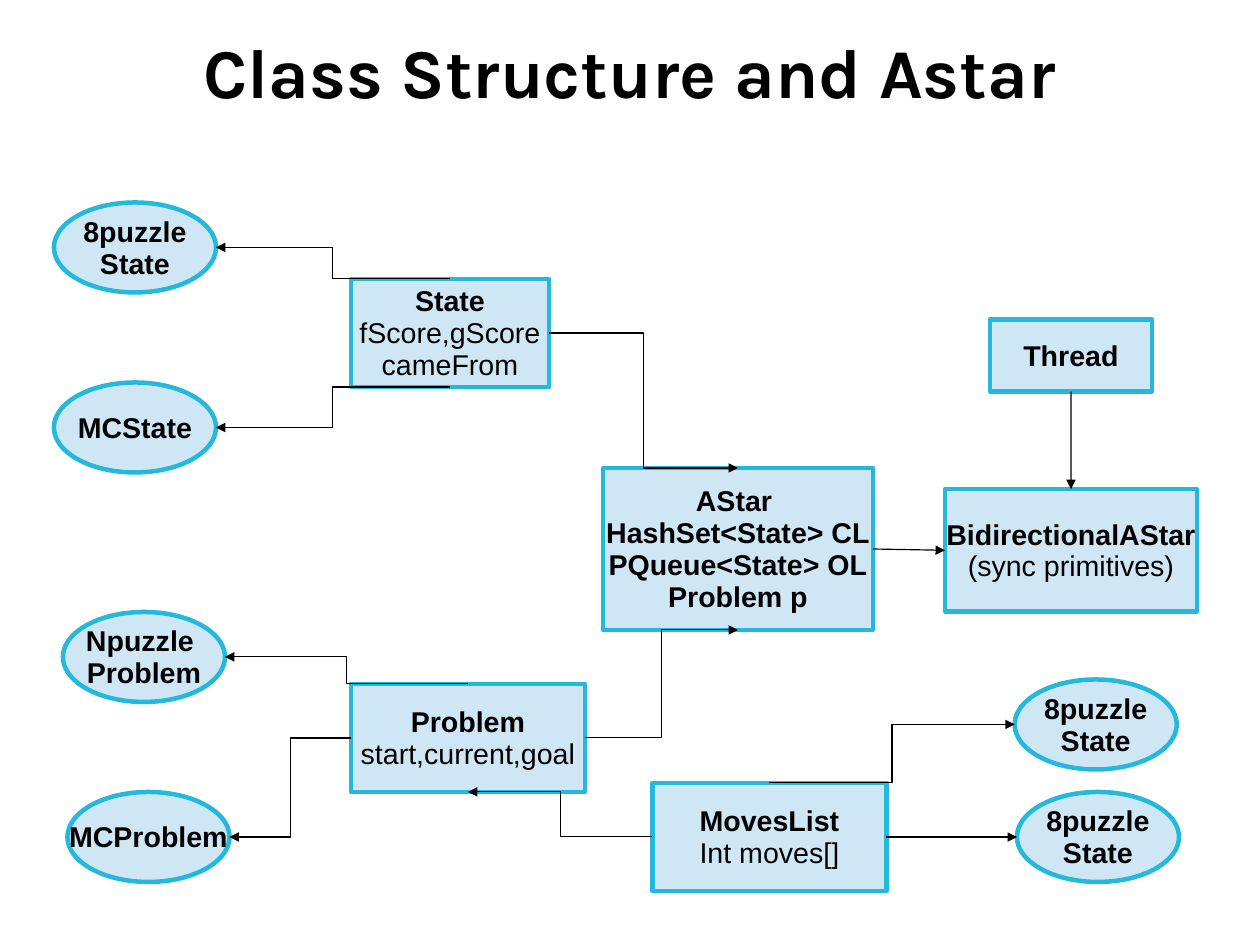
from lxml.etree import SubElement
from pptx import Presentation
from pptx.dml.color import RGBColor
from pptx.enum.shapes import MSO_CONNECTOR as Link, MSO_SHAPE as Kind
from pptx.enum.text import MSO_ANCHOR as Anchor, MSO_AUTO_SIZE as Fit, PP_ALIGN as Align
from pptx.oxml.ns import qn
from pptx.util import Cm, Pt

COLS, ROWS = 28, 21  # one grid cell is one centimetre
TITLE = "Class Structure and Astar"
TITLE_BOX = (1.4, 0.7, 25.2, 1.83)
FILL, EDGE, INK = "CFE7F5", "23B8DC", "000000"
OVAL = (3.6, 2)
WIDE = (5.2, 2.4)

# name: (column, row, (columns, rows), bold lines, plain lines)
RECTS = {
    "state": (7.8, 6.2, (4.4, 2.4), ["State"], ["fScore,gScore", "cameFrom"]),
    "problem": (7.8, 15.2, WIDE, ["Problem"], ["start,current,goal"]),
    "moves": (14.5, 17.4, WIDE, ["MovesList"], ["Int moves[]"]),
    "astar": (13.4, 10.4, (6, 3.6),
              ["AStar ", "HashSet<State> CL", "PQueue<State> OL", "Problem p"], []),
    "bidi": (21, 10.87, (5.6, 2.72), ["BidirectionalAStar"], ["(sync primitives)"]),
    "thread": (22, 7.1, (3.6, 1.6), ["Thread"], []),
}
OVALS = {
    "puzzle": (1.2, 4.5, OVAL, ["8puzzle", "State"], []),
    "mc state": (1.2, 8.5, OVAL, ["MCState"], []),
    "npuzzle": (1.4, 13.6, OVAL, ["Npuzzle ", "Problem"], []),
    "mc problem": (1.5, 17.6, OVAL, ["MCProblem"], []),
    "upper move": (22.55, 15.1, OVAL, ["8puzzle", "State"], []),
    "lower move": (22.6, 17.6, OVAL, ["8puzzle", "State"], []),
}

# (from, side, to, side)
STRAIGHT = [
    ("astar", "right", "bidi", "left"),
    ("thread", "bottom", "bidi", "top"),
]
BENT = [
    ("state", "right", "astar", "top"),
    ("problem", "right", "astar", "bottom"),
    ("moves", "left", "problem", "bottom"),
    ("state", "top", "puzzle", "right"),
    ("state", "bottom", "mc state", "right"),
    ("problem", "top", "npuzzle", "right"),
    ("problem", "left", "mc problem", "right"),
    ("moves", "top", "upper move", "left"),
    ("moves", "right", "lower move", "left"),
]
SIDES = {"left": (0, 0.5), "right": (1, 0.5), "top": (0.5, 0), "bottom": (0.5, 1)}


def color(code):
    return RGBColor.from_string(code)


def style(para, face, size, bold):
    para.alignment = Align.CENTER
    para.line_spacing = 0.93
    font = para.font
    font.name, font.size, font.bold = face, Pt(size), bold
    font.color.rgb = color(INK)


def pad(frame, left, top, right, bottom):
    frame.margin_left, frame.margin_top = Cm(left), Cm(top)
    frame.margin_right, frame.margin_bottom = Cm(right), Cm(bottom)
    frame.vertical_anchor = Anchor.MIDDLE


def add_node(shapes, kind, col, row, size, bold, plain):
    node = shapes.add_shape(kind, Cm(col), Cm(row), *map(Cm, size))
    node.shadow.inherit = False
    node.fill.solid()
    node.fill.fore_color.rgb = color(FILL)
    node.line.color.rgb = color(EDGE)
    node.line.width = Pt(2.83)
    frame = node.text_frame
    frame.word_wrap = False
    pad(frame, 0.3, 0.23, 0.3, 0.18)
    frame.text = "\n".join(bold + plain)
    for i, para in enumerate(frame.paragraphs):
        style(para, "Arial", 18, i < len(bold))
    return node


def port(node, side):
    """Middle of one side of a node."""
    x, y = SIDES[side]
    return int(node.left + x * node.width), int(node.top + y * node.height)


def add_arrow(shapes, kind, start, end):
    arrow = shapes.add_connector(kind, *start, *end)
    arrow.line.color.rgb = color(INK)
    arrow.line.width = Pt(0.75)
    SubElement(arrow.line._get_or_add_ln(), qn("a:tailEnd"), type="triangle")
    SubElement(arrow._element.spPr, qn("a:effectLst"))


def main():
    deck = Presentation()
    deck.slide_width, deck.slide_height = Cm(COLS), Cm(ROWS)
    shapes = deck.slides.add_slide(deck.slide_layouts[5]).shapes

    title = shapes.title
    title.left, title.top, title.width, title.height = map(Cm, TITLE_BOX)
    title.text = TITLE
    title.text_frame.auto_size = Fit.NONE
    pad(title.text_frame, 0, 0.1, 0, 0)
    style(title.text_frame.paragraphs[0], "Karla", 44, True)

    nodes = {}
    for kind, group in ((Kind.RECTANGLE, RECTS), (Kind.OVAL, OVALS)):
        for name, parts in group.items():
            nodes[name] = add_node(shapes, kind, *parts)

    for kind, links in ((Link.STRAIGHT, STRAIGHT), (Link.ELBOW, BENT)):
        for tail, out, head, into in links:
            add_arrow(shapes, kind, port(nodes[tail], out), port(nodes[head], into))

    deck.save("out.pptx")


if __name__ == "__main__":
    main()
